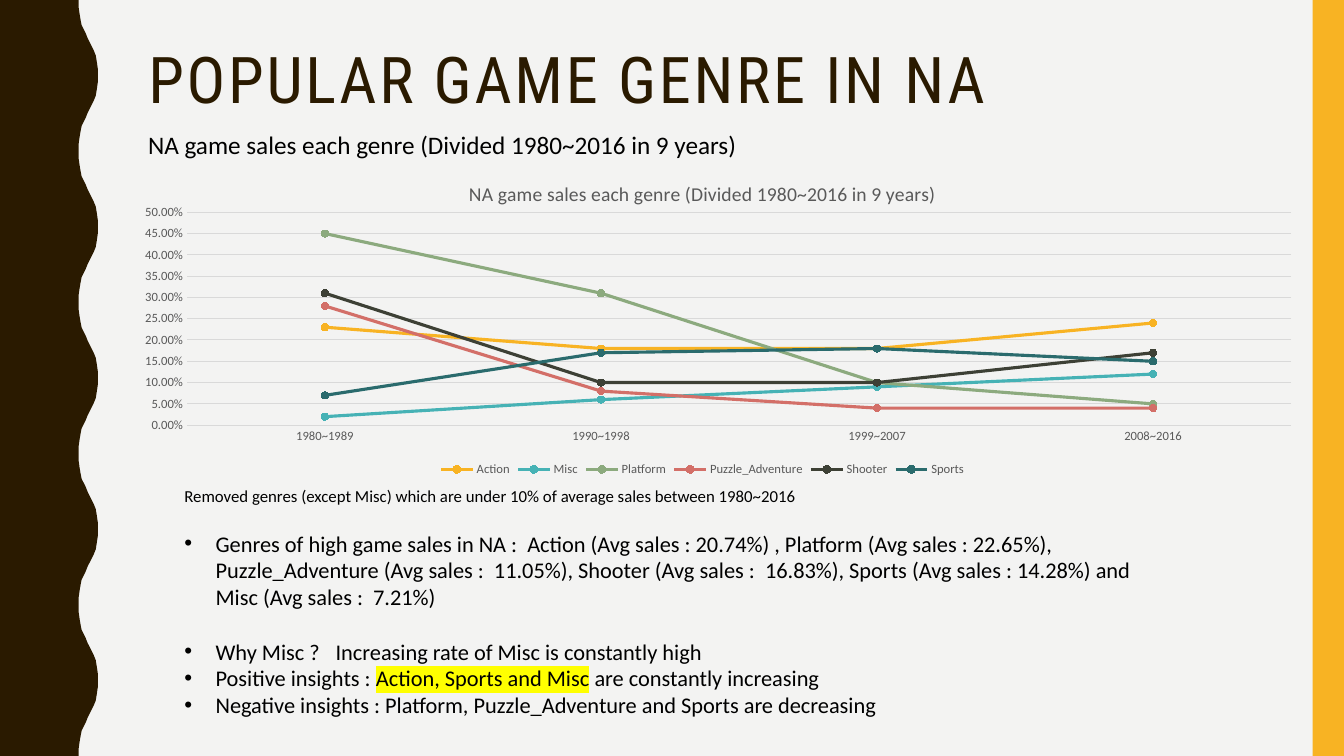
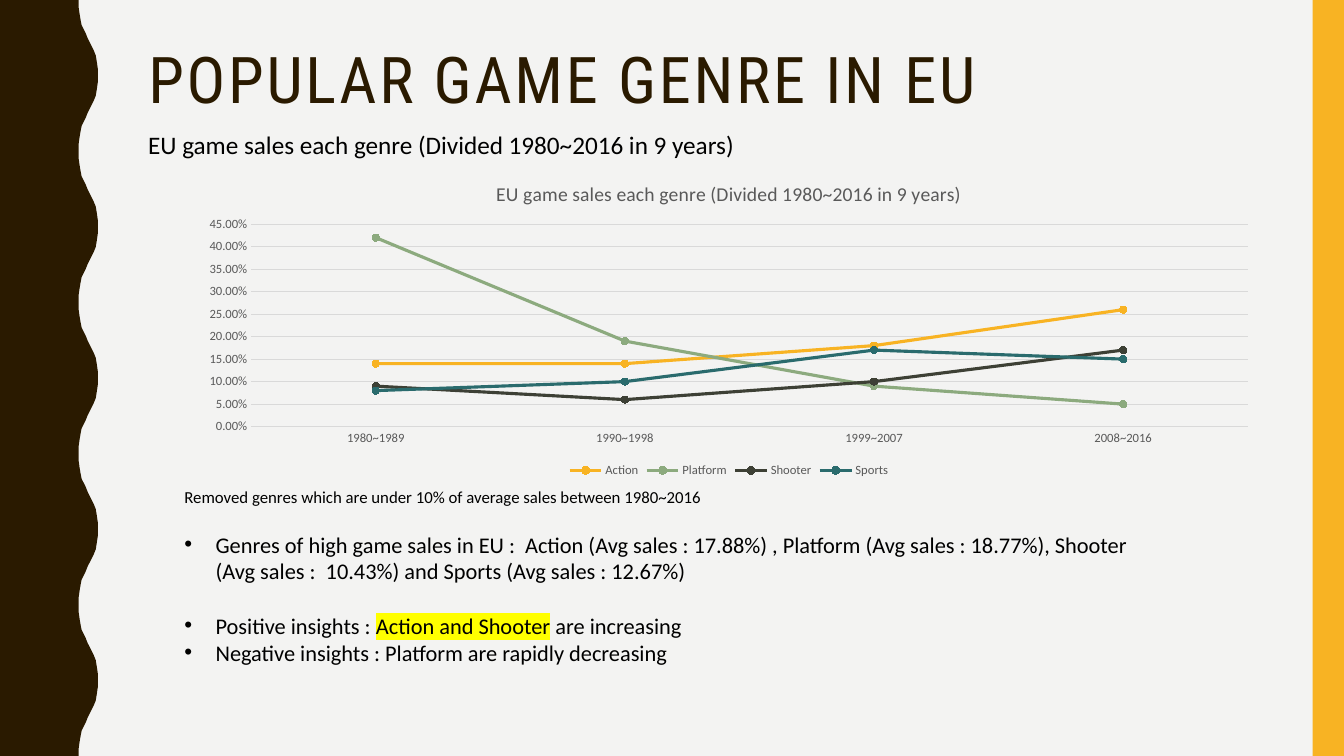
"""Build two slides on popular game genres, one for each region."""
from lxml import etree
from pptx import Presentation
from pptx.chart.data import CategoryChartData
from pptx.dml.color import RGBColor
from pptx.enum.chart import XL_CHART_TYPE, XL_LEGEND_POSITION, XL_MARKER_STYLE, XL_TICK_MARK
from pptx.enum.shapes import MSO_SHAPE
from pptx.enum.text import MSO_ANCHOR, PP_ALIGN
from pptx.oxml.ns import qn
from pptx.util import Emu, Inches, Pt

LINE_MARKERS = XL_CHART_TYPE.LINE_MARKERS
LEGEND_BOTTOM = XL_LEGEND_POSITION.BOTTOM
CIRCLE = XL_MARKER_STYLE.CIRCLE
NO_TICK = XL_TICK_MARK.NONE
RECTANGLE = MSO_SHAPE.RECTANGLE
TOP = MSO_ANCHOR.TOP
LEFT = PP_ALIGN.LEFT

BROWN = RGBColor(0x2A, 0x1A, 0x00)
GOLD = RGBColor(0xF8, 0xB3, 0x23)
PAPER = RGBColor(0xF3, 0xF3, 0xF2)
BLACK = RGBColor(0x00, 0x00, 0x00)
GREY = RGBColor(0x59, 0x59, 0x59)
GRID_GREY = RGBColor(0xD9, 0xD9, 0xD9)
GENRE_COLORS = {
    "Action": GOLD,
    "Misc": RGBColor(0x46, 0xB2, 0xB5),
    "Platform": RGBColor(0x8C, 0xAA, 0x7E),
    "Puzzle_Adventure": RGBColor(0xD3, 0x6F, 0x68),
    "Shooter": RGBColor(0x3D, 0x40, 0x35),
    "Sports": RGBColor(0x2A, 0x6B, 0x6D),
}

TITLE_FONT = {"name": "Roboto Condensed", "size": Pt(46), "bold": False}
SUBTITLE_FONT = {"name": "Calibri", "size": Pt(18)}
CAPTION_FONT = {"name": "Calibri", "size": Pt(12)}
BODY_FONT = {"name": "Calibri", "size": Pt(16)}
CHART_TITLE_FONT = {"name": "Calibri", "size": Pt(14), "bold": False}
CHART_FONT = {"name": "Calibri", "size": Pt(9)}
TITLE_FRAME = {"word_wrap": True, "vertical_anchor": TOP}
BULLET_INDENT = {"marL": str(Inches(0.31)), "indent": str(-Inches(0.31))}

PERIODS = ["1980~1989", "1990~1998", "1999~2007", "2008~2016"]
REGIONS = [
    {
        "name": "NA",
        "title_height": 12.67,
        "chart_area": (8.48, 21.87, 87.62, 41.73),
        "plot": {"x": 0.062, "y": 0.149, "w": 0.938, "h": 0.675},
        "top_share": 0.5,
        "sales": {
            "Action": (0.23, 0.18, 0.18, 0.24),
            "Misc": (0.02, 0.06, 0.09, 0.12),
            "Platform": (0.45, 0.31, 0.1, 0.05),
            "Puzzle_Adventure": (0.28, 0.08, 0.04, 0.04),
            "Shooter": (0.31, 0.1, 0.1, 0.17),
            "Sports": (0.07, 0.17, 0.18, 0.15),
        },
        "body_area": (12.98, 63.6, 74.04, 36),
        "caption": "Removed genres (except Misc) which are under 10% of average sales between 1980~2016",
        "bullets": [
            ["Genres of high game sales in NA :  Action (Avg sales : 20.74%) , "
             "Platform (Avg sales : 22.65%), Puzzle_Adventure (Avg sales :  11.05%), "
             "Shooter (Avg sales :  16.83%), Sports (Avg sales : 14.28%) and "
             "Misc (Avg sales :  7.21%)"],
            ["Why Misc ?\tIncreasing rate of Misc is constantly high"],
            ["Positive insights : ", "Action, Sports and Misc", " are constantly increasing"],
            ["Negative insights : Platform, Puzzle_Adventure and Sports are decreasing"],
        ],
    },
    {
        "name": "EU",
        "title_height": 21.73,
        "chart_area": (14.03, 21.87, 80.42, 41.87),
        "plot": {"x": 0.058, "y": 0.186, "w": 0.922, "h": 0.64},
        "top_share": 0.45,
        "sales": {
            "Action": (0.14, 0.14, 0.18, 0.26),
            "Platform": (0.42, 0.19, 0.09, 0.05),
            "Shooter": (0.09, 0.06, 0.1, 0.17),
            "Sports": (0.08, 0.1, 0.17, 0.15),
        },
        "body_area": (12.98, 63.73, 74.04, 32.27),
        "caption": "Removed genres which are under 10% of average sales between 1980~2016",
        "bullets": [
            ["Genres of high game sales in EU :  Action (Avg sales : 17.88%) , "
             "Platform (Avg sales : 18.77%), Shooter (Avg sales :  10.43%) and "
             "Sports (Avg sales : 12.67%)"],
            ["Positive insights : ", "Action and Shooter", " are increasing"],
            ["Negative insights : Platform are rapidly decreasing"],
        ],
    },
]

deck = Presentation()
deck.slide_width, deck.slide_height = Inches(13.33), Inches(7.5)


def area(left, top, width, height):
    """Turn percentages of the slide into left, top, width and height."""
    sides = (deck.slide_width, deck.slide_height) * 2
    return [Emu(round(share * side / 100)) for share, side in zip((left, top, width, height), sides)]


def style_font(font, values, color):
    """Set the font attributes and the colour."""
    font.color.rgb = color
    for name, value in values.items():
        setattr(font, name, value)


layout = deck.slide_layouts[5]
master = deck.slide_master
master.background.fill.solid()
master.background.fill.fore_color.rgb = PAPER
pages = [deck.slides.add_slide(layout) for region in REGIONS]

HALF_WAVE = [(78, 0), (78, 7), (79, 14), (80, 20), (81, 25), (83, 29), (85, 33), (87, 38),
             (89, 42), (91, 46), (93, 50), (95, 55), (96, 61), (97, 68), (97, 75)]
WAVE_LENGTH = 150
full_wave = HALF_WAVE + [(x, WAVE_LENGTH - y) for x, y in reversed(HALF_WAVE[:-1])]
edge = [(x, y + WAVE_LENGTH * crest) for crest in range(5) for x, y in full_wave]
outline = pages[0].shapes.build_freeform(0, 0, scale=Inches(0.01))
outline.add_line_segments(edge + [(0, 5 * WAVE_LENGTH)], close=True)
wave_band = outline.convert_to_shape()
gold_band = pages[0].shapes.add_shape(RECTANGLE, *area(97.67, 0, 2.33, 100))
for band, color in ((wave_band, BROWN), (gold_band, GOLD)):
    band.shadow.inherit = False
    band.fill.solid()
    band.fill.fore_color.rgb = color
    band.line.fill.background()
    master.shapes.element.insert(2, band.element)

for page, region in zip(pages, REGIONS):
    heading = f"{region['name']} game sales each genre (Divided 1980~2016 in 9 years)"

    title = page.shapes.title
    title.left, title.top, title.width, title.height = area(10.28, 5.6, 83.5, region["title_height"])
    for name, value in TITLE_FRAME.items():
        setattr(title.text_frame, name, value)
    para = title.text_frame.paragraphs[0]
    para.alignment, para.line_spacing = LEFT, 0.9
    span = para.add_run()
    span.text = f"POPULAR GAME GENRE IN {region['name']}"
    style_font(span.font, TITLE_FONT, BROWN)
    span.font._element.set("spc", "200")

    data = CategoryChartData(number_format="0.00%")
    data.categories = PERIODS
    for genre, shares in region["sales"].items():
        data.add_series(genre, shares)
    chart = page.shapes.add_chart(LINE_MARKERS, *area(*region["chart_area"]), data).chart
    style_font(chart.font, CHART_FONT, GREY)
    chart.has_title = True
    span = chart.chart_title.text_frame.paragraphs[0].add_run()
    span.text = heading
    style_font(span.font, CHART_TITLE_FONT, GREY)
    chart.chart_title.include_in_layout = False
    chart.has_legend = True
    chart.legend.position = LEGEND_BOTTOM
    chart.legend.include_in_layout = False
    style_font(chart.legend.font, CHART_FONT, GREY)

    for axis in (chart.category_axis, chart.value_axis):
        axis.major_tick_mark = axis.minor_tick_mark = NO_TICK
        style_font(axis.tick_labels.font, CHART_FONT, GREY)
    shares_axis = chart.value_axis
    shares_axis.minimum_scale, shares_axis.maximum_scale = 0, region["top_share"]
    shares_axis.major_unit = 0.05
    shares_axis.tick_labels.number_format = "0.00%"
    shares_axis.tick_labels.number_format_is_linked = False
    shares_axis.format.line.fill.background()
    for line in (chart.category_axis.format.line, shares_axis.major_gridlines.format.line):
        line.color.rgb = GRID_GREY
        line.width = Pt(0.75)

    for series in chart.plots[0].series:
        color = GENRE_COLORS[series.name]
        series.smooth = False
        series.format.line.color.rgb = color
        series.format.line.width = Pt(2.25)
        series.marker.style, series.marker.size = CIRCLE, 5
        series.marker.format.fill.solid()
        series.marker.format.fill.fore_color.rgb = color
        series.marker.format.line.color.rgb = color

    plot_area = chart.element.find(".//" + qn("c:plotArea"))
    for old_layout in plot_area.findall(qn("c:layout")):
        plot_area.remove(old_layout)
    plot_layout = etree.Element(qn("c:layout"))
    plot_area.insert(0, plot_layout)
    manual = etree.SubElement(plot_layout, qn("c:manualLayout"))
    settings = {"layoutTarget": "inner", "xMode": "edge", "yMode": "edge", **region["plot"]}
    for name, value in settings.items():
        etree.SubElement(manual, qn(f"c:{name}")).set("val", str(value))

    subtitle = page.shapes.add_textbox(*area(10.28, 16.4, 50.04, 5.33)).text_frame
    subtitle.word_wrap = True
    span = subtitle.paragraphs[0].add_run()
    span.text = heading
    style_font(span.font, SUBTITLE_FONT, BLACK)

    body = page.shapes.add_textbox(*area(*region["body_area"])).text_frame
    body.word_wrap = True
    span = body.paragraphs[0].add_run()
    span.text = region["caption"]
    style_font(span.font, CAPTION_FONT, BLACK)
    gaps = [Pt(17), Pt(19.5)] + [Pt(0)] * len(region["bullets"])
    for pieces, gap in zip(region["bullets"], gaps):
        para = body.add_paragraph()
        para.space_before = gap
        properties = para._p.get_or_add_pPr()
        for name, value in BULLET_INDENT.items():
            properties.set(name, value)
        etree.SubElement(properties, qn("a:buFont")).set("typeface", "Arial")
        etree.SubElement(properties, qn("a:buChar")).set("char", "•")
        for position, piece in enumerate(pieces):
            span = para.add_run()
            span.text = piece
            style_font(span.font, BODY_FONT, BLACK)
            if position == 1:
                highlight = etree.Element(qn("a:highlight"))
                etree.SubElement(highlight, qn("a:srgbClr")).set("val", "FFFF00")
                span.font._element.find(qn("a:latin")).addprevious(highlight)

deck.save("out.pptx")
